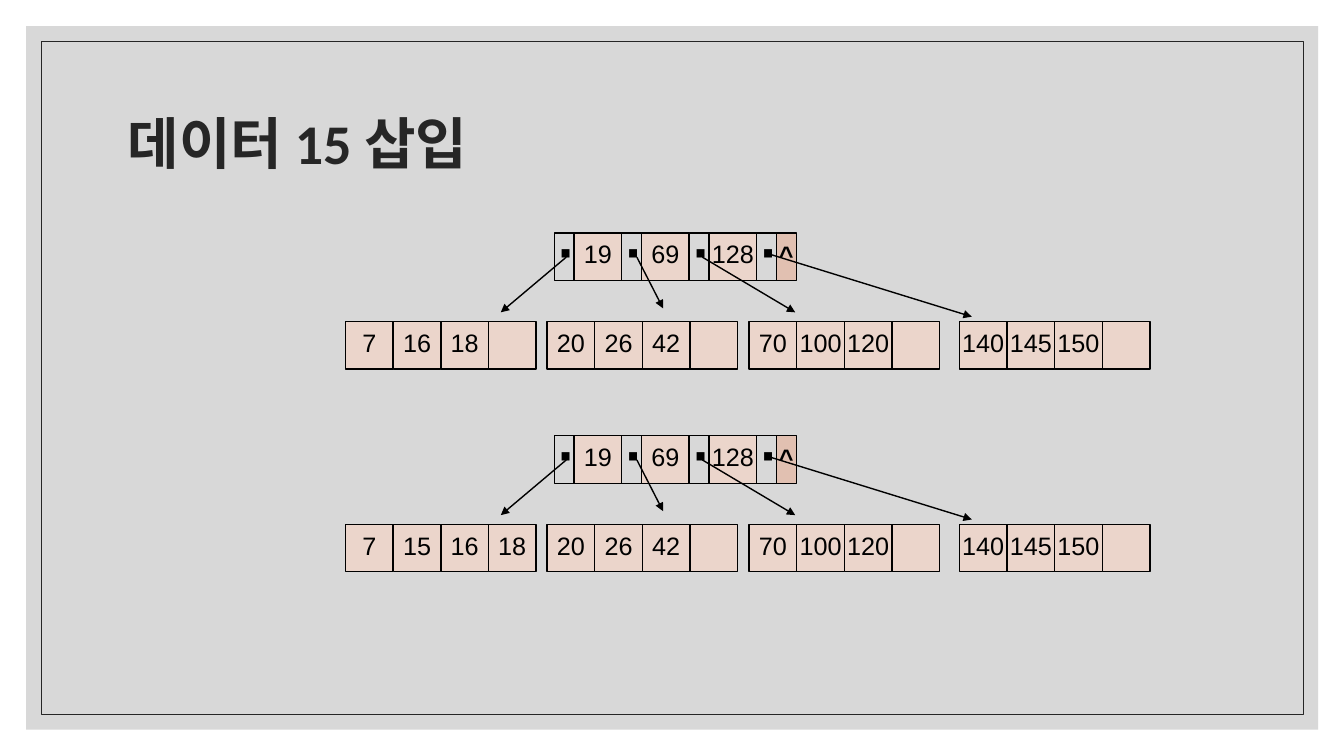
from pptx import Presentation
from pptx.dml.color import RGBColor
from pptx.enum.dml import MSO_FILL
from pptx.enum.shapes import MSO_CONNECTOR, MSO_SHAPE
from pptx.enum.text import MSO_ANCHOR, PP_ALIGN
from pptx.oxml.ns import qn
from pptx.util import Cm, Pt
from lxml import etree

SOLID = MSO_FILL.SOLID
RECTANGLE = MSO_SHAPE.RECTANGLE
STRAIGHT = MSO_CONNECTOR.STRAIGHT
MIDDLE = MSO_ANCHOR.MIDDLE
TOP = MSO_ANCHOR.TOP
CENTER = PP_ALIGN.CENTER
LEFT = PP_ALIGN.LEFT

BLACK = RGBColor(0x00, 0x00, 0x00)
CHARCOAL = RGBColor(0x26, 0x26, 0x26)
GRAY = RGBColor(0xBF, 0xBF, 0xBF)
KEY_FILL = RGBColor(0xEB, 0xD5, 0xCB)
END_FILL = RGBColor(0xE1, 0xC0, 0xB1)

CELL = 1.2
SLOT = 0.5
ROOT_LEFT = 13.97
ROOT_KEYS = ["19", "69", "128"]
LEAF_DROP = 2.23
LEAF_LEFTS = [8.71, 13.79, 18.88, 24.18]
OTHER_LEAVES = [
    ["20", "26", "42", ""],
    ["70", "100", "120", ""],
    ["140", "145", "150", ""],
]
TREES = [
    (5.87, ["7", "16", "18", ""]),
    (10.98, ["7", "15", "16", "18"]),
]
POINTERS = [
    ((14.27, 0.61), (12.62, 2.0)),
    ((16.05, 0.61), (16.71, 1.9)),
    ((17.7, 0.61), (20.04, 2.0)),
    ((19.38, 0.53), (24.49, 2.11)),
]


def write(shape, text, size, align=LEFT, anchor=TOP, bold=False):
    frame = shape.text_frame
    frame.word_wrap = False
    frame.vertical_anchor = anchor
    para = frame.paragraphs[0]
    para.text = text
    para.alignment = align
    para.line_spacing = 0.8
    para.space_before = Pt(size * 0.2)
    para.font.name = "Arial"
    para.font.size = Pt(size)
    para.font.bold = bold
    para.font.color.rgb = BLACK


def add_box(page, left, top, width, height, fill=None, line=BLACK, weight=1):
    box = page.shapes.add_shape(RECTANGLE, Cm(left), Cm(top), Cm(width), Cm(height))
    box.shadow.inherit = False
    if fill is None:
        box.fill.background()
    else:
        box.fill.solid()
        box.fill.fore_color.rgb = fill
    if line is None:
        box.line.fill.background()
    else:
        box.line.color.rgb = line
        box.line.width = Pt(weight)
    return box


def add_key(page, left, top, text):
    box = add_box(page, left, top, CELL, CELL, KEY_FILL)
    if text:
        write(box, text, 18, CENTER, MIDDLE)


def add_mark(page, left, top, width, height, text, size):
    label = page.shapes.add_textbox(Cm(left), Cm(top), Cm(width), Cm(height))
    write(label, text, size, bold=True)


def add_arrow(page, start, end):
    arrow = page.shapes.add_connector(
        STRAIGHT, Cm(start[0]), Cm(start[1]), Cm(end[0]), Cm(end[1])
    )
    arrow.line.color.rgb = BLACK
    arrow.line.width = Pt(1)
    etree.SubElement(arrow.line._get_or_add_ln(), qn("a:tailEnd"), type="triangle")
    etree.SubElement(arrow._element.spPr, qn("a:effectLst"))


def add_backdrop(page):
    panel = add_box(page, 0.66, 0.66, 32.56, 17.73, GRAY, None)
    color = panel._element.spPr.find(qn("a:solidFill")).find(qn("a:srgbClr"))
    etree.SubElement(color, qn("a:alpha"), val="60000")
    add_box(page, 1.04, 1.04, 31.8, 16.97, line=CHARCOAL, weight=0.5)


def add_title(page, text):
    title = page.shapes.add_textbox(Cm(2.97), Cm(1.78), Cm(27.94), Cm(3.81))
    frame = title.text_frame
    frame.word_wrap = True
    frame.vertical_anchor = MIDDLE
    para = frame.paragraphs[0]
    para.text = text
    para.line_spacing = 0.9
    para.font.name = "Calibri"
    para.font.size = Pt(40)
    para.font.bold = True
    para.font.color.rgb = CHARCOAL


def add_root(page, top):
    step = SLOT + CELL
    slots = [ROOT_LEFT + index * step for index in range(len(ROOT_KEYS) + 1)]
    end_left = slots[-1] + SLOT
    add_box(page, end_left, top, SLOT, CELL, END_FILL)
    for left, key in zip(slots, ROOT_KEYS):
        add_key(page, left + SLOT, top, key)
    for left in slots:
        add_box(page, left, top, SLOT, CELL)
        add_mark(page, left - 0.16, top - 0.2, 0.89, 1.63, "·", 40)
    add_mark(page, end_left - 0.19, top + 0.18, 0.97, 0.86, "^", 18)


def add_leaf(page, left, top, keys):
    for index, key in enumerate(keys):
        add_key(page, left + index * CELL, top, key)


def add_tree(page, top, first_leaf):
    add_root(page, top)
    for left, keys in zip(LEAF_LEFTS, [first_leaf] + OTHER_LEAVES):
        add_leaf(page, left, top + LEAF_DROP, keys)
    for (start_x, start_y), (end_x, end_y) in POINTERS:
        add_arrow(page, (start_x, top + start_y), (end_x, top + end_y))


def main():
    deck = Presentation()
    deck.slide_width = Cm(33.87)
    deck.slide_height = Cm(19.05)
    page = deck.slides.add_slide(deck.slide_layouts[6])
    add_backdrop(page)
    add_title(page, "데이터 15 삽입")
    for top, first_leaf in TREES:
        add_tree(page, top, first_leaf)
    deck.save("out.pptx")


if __name__ == "__main__":
    main()
